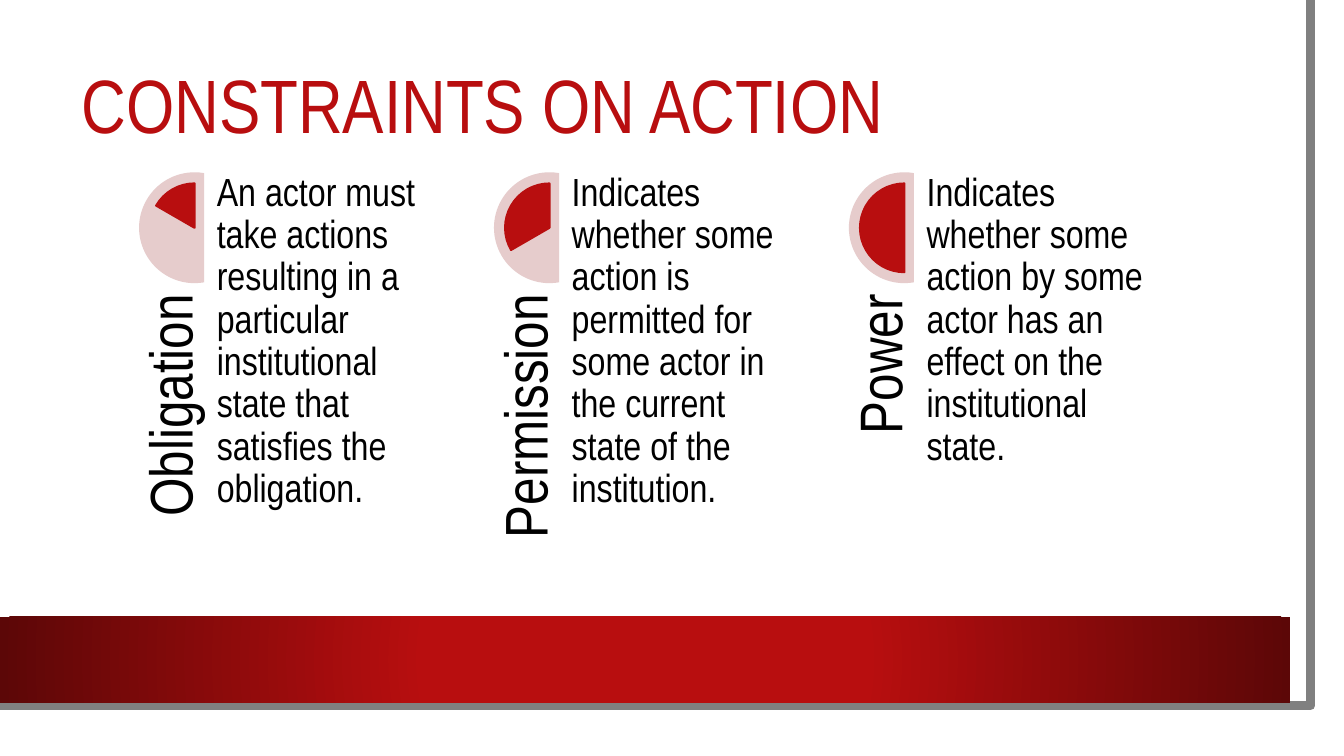
from lxml.etree import SubElement
from pptx import Presentation
from pptx.dml.color import RGBColor
from pptx.enum.shapes import MSO_SHAPE
from pptx.enum.text import MSO_ANCHOR, PP_ALIGN
from pptx.oxml.ns import qn
from pptx.util import Inches, Pt

RED, DARK_RED, PINK = "B80E0F", "5C0707", "E6CCCC"
WHITE, GRAY, BLACK = "FFFFFF", "808080", "000000"
FONT = "Arial Narrow"
PIE_END = 162

# Name, description, start of the pie slice
CONSTRAINTS = [
    ("Obligation", "An actor must take actions resulting in a particular "
     "institutional state that satisfies the obligation.", 126),
    ("Permission", "Indicates whether some action is permitted for some actor "
     "in the current state of the institution.", 90),
    ("Power", "Indicates whether some action by some actor has an effect on "
     "the institutional state.", 54),
]


def color(hex_string):
    return RGBColor.from_string(hex_string)


def add_filled_shape(slide, kind, box, fill, line=None, adjustments=()):
    shape = slide.shapes.add_shape(kind, *map(Inches, box))
    shape.shadow.inherit = False
    for index, value in enumerate(adjustments):
        shape.adjustments[index] = value
    shape.fill.solid()
    shape.fill.fore_color.rgb = color(fill)
    if line:
        shape.line.color.rgb = color(line)
        shape.line.width = Pt(1.5)
    else:
        shape.line.fill.background()
    return shape


def add_text(slide, box, text, size, text_color=BLACK, inset=0,
             anchor=MSO_ANCHOR.TOP, alignment=PP_ALIGN.LEFT):
    shape = slide.shapes.add_textbox(*map(Inches, box))
    frame = shape.text_frame
    frame_format = {
        "word_wrap": True, "vertical_anchor": anchor,
        "margin_left": Inches(inset), "margin_right": Inches(inset),
        "margin_top": Inches(inset / 2), "margin_bottom": Inches(inset / 2),
    }
    for name, value in frame_format.items():
        setattr(frame, name, value)
    paragraph = frame.paragraphs[0]
    paragraph.text = text
    paragraph.alignment = alignment
    paragraph.line_spacing = 0.9
    font = paragraph.runs[0].font
    for name, value in {"name": FONT, "size": Pt(size)}.items():
        setattr(font, name, value)
    font.color.rgb = color(text_color)
    return shape


def set_radial_gradient(shape, stops):
    """Fill the shape with a gradient that spreads from its centre."""
    shape.fill.gradient()
    gradient = shape.element.spPr.find(qn("a:gradFill"))
    for child in list(gradient):
        gradient.remove(child)
    stop_list = SubElement(gradient, qn("a:gsLst"))
    for percent, stop_color in stops:
        stop = SubElement(stop_list, qn("a:gs"), pos=str(percent * 1000))
        SubElement(stop, qn("a:srgbClr"), val=stop_color)
    circle = SubElement(gradient, qn("a:path"), path="circle")
    SubElement(circle, qn("a:fillToRect"),
               {side: "50000" for side in "ltrb"})


def add_paper(slide, left, top, width, height):
    """White sheet with a gray edge at the right and bottom and a red band."""
    add_filled_shape(slide, MSO_SHAPE.RECTANGLE, (left, top, width, height), WHITE)

    right, bottom = left + width - 0.25, top + height - 0.25
    builder = slide.shapes.build_freeform(right - 0.03, top, scale=Inches(1))
    builder.add_line_segments([(right, bottom), (left - 0.03, bottom - 0.01)],
                              close=False)
    edge = builder.convert_to_shape()
    edge.shadow.inherit = False
    edge.fill.background()
    edge.line.color.rgb = color(GRAY)
    edge.line.width = Pt(6.5)

    band = add_filled_shape(slide, MSO_SHAPE.RECTANGLE,
                            (left, bottom - 0.9, width - 0.3, 0.85), RED)
    set_radial_gradient(band, [(34, RED), (100, DARK_RED)])


def add_constraint(slide, left, top, name, description, pie_start):
    """Half disc with a pie slice, upright name below, description beside."""
    disc, gap = 1.1, 0.11
    add_filled_shape(slide, MSO_SHAPE.CHORD, (left, top, disc, disc), PINK,
                     adjustments=(48, 168))
    slice_size = disc - 2 * gap
    add_filled_shape(slide, MSO_SHAPE.PIE,
                     (left + gap, top + gap, slice_size, slice_size), RED, RED,
                     (pie_start, PIE_END))

    # The name box is turned about its centre to fill a tall, narrow strip
    length, thickness = 3.2, 0.66
    shift = (length - thickness) / 2
    label = add_text(slide,
                     (left - shift, top + disc + gap + shift, length, thickness),
                     name, 43, anchor=MSO_ANCHOR.BOTTOM, alignment=PP_ALIGN.RIGHT)
    label.rotation = 270

    add_text(slide, (left + thickness + gap, top, 2.21, 4.42), description, 28)


def main():
    presentation = Presentation()
    presentation.slide_width = Inches(13.33)
    presentation.slide_height = Inches(7.5)
    slide = presentation.slides.add_slide(presentation.slide_layouts[6])
    add_paper(slide, 0, 0, 13.1, 7.27)
    add_text(slide, (0.71, 0.45, 11.37, 1.26), "CONSTRAINTS ON ACTION", 54, RED,
             inset=0.1, anchor=MSO_ANCHOR.MIDDLE)
    for index, constraint in enumerate(CONSTRAINTS):
        add_constraint(slide, 1.38 + 3.52 * index, 1.71, *constraint)
    presentation.save("out.pptx")


if __name__ == "__main__":
    main()
